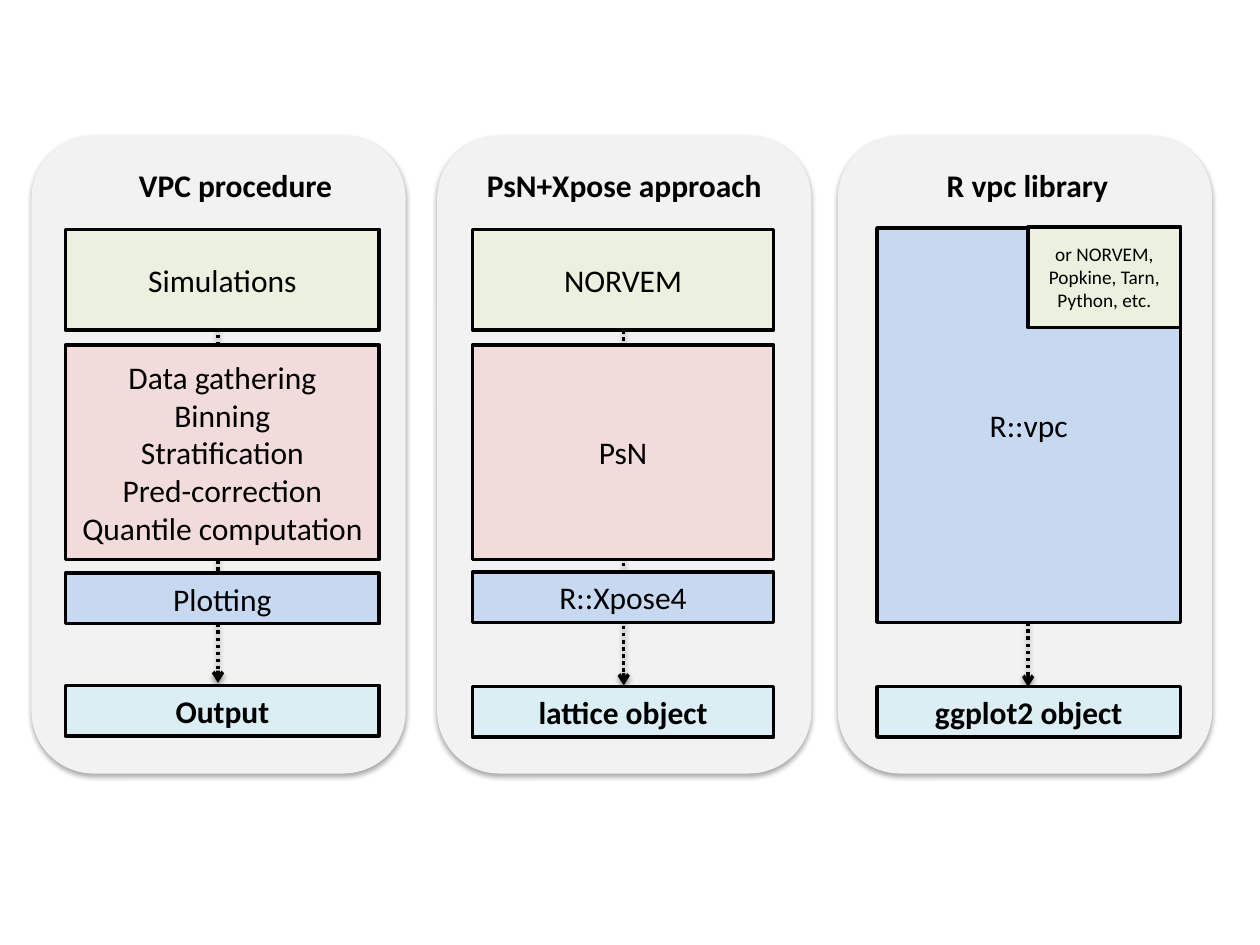
"""Build a slide comparing three ways to produce a visual predictive check."""
from lxml import etree
from pptx import Presentation
from pptx.dml.color import RGBColor
from pptx.enum import dml, shapes, text
from pptx.oxml import ns
from pptx.util import Inches, Pt

THEME = {
    "font": "Calibri", "size": 18, "small": 11, "ink": "000000", "line": 2,
    "panel": "F2F2F2", "simulate": "EBF1DE", "process": "F2DCDB",
    "plot": "C6D9F1", "output": "DBEEF4",
}
PANEL_TOP, PANEL_W, PANEL_H = 1.08, 2.97, 5.06
TITLE_TOP, TITLE_H = 1.27, 0.42

COLUMNS = [
    {"title": "VPC procedure", "panel": 0.25, "title_at": (0.99, 1.76),
     "box_at": (0.52, 2.49), "arrow": (1.73, 2.6, 5.42),
     "boxes": [("simulate", ["Simulations"], 1.82, 0.8),
               ("process", ["Data gathering", "Binning", "Stratification",
                            "Pred-correction", "Quantile computation"], 2.74, 1.7),
               ("plot", ["Plotting"], 4.55, 0.4),
               ("output", ["Output"], 5.44, 0.4)]},
    {"title": "PsN+Xpose approach", "panel": 3.47, "title_at": (3.75, 2.41),
     "box_at": (3.75, 2.39), "arrow": (4.95, 2.62, 5.44),
     "boxes": [("simulate", ["NORVEM"], 1.82, 0.8),
               ("process", ["PsN"], 2.74, 1.7),
               ("plot", ["R::Xpose4"], 4.54, 0.4),
               ("output", ["lattice object"], 5.45, 0.4)]},
    {"title": "R vpc library", "panel": 6.65, "title_at": (7.4, 1.51),
     "box_at": (6.96, 2.41), "arrow": (8.16, 4.94, 5.45),
     "boxes": [("plot", ["R::vpc"], 1.81, 3.13),
               ("output", ["ggplot2 object"], 5.45, 0.4)]},
]
INSET = ("simulate", ["or NORVEM, Popkine, Tarn, Python, etc."], (8.16, 1.8, 1.21, 0.8))


def color(name):
    return RGBColor.from_string(THEME[name])


def add_shadow(shape, opacity, distance):
    props = shape._element.spPr
    for old in props.findall(ns.qn("a:effectLst")):
        props.remove(old)
    effects = etree.SubElement(props, ns.qn("a:effectLst"))
    shadow = etree.SubElement(effects, ns.qn("a:outerShdw"), blurRad=str(Pt(3.1)),
                              dist=str(Pt(distance)), dir="5400000", rotWithShape="0")
    black = etree.SubElement(shadow, ns.qn("a:srgbClr"), val=THEME["ink"])
    etree.SubElement(black, ns.qn("a:alpha"), val=str(opacity * 1000))


def write(shape, lines, size="size", bold=False, wrap=True):
    tf = shape.text_frame
    tf.word_wrap = wrap
    tf.text = "\n".join(lines)
    for p in tf.paragraphs:
        p.alignment = text.PP_ALIGN.CENTER
        for r in p.runs:
            r.font.name, r.font.size, r.font.bold = THEME["font"], Pt(THEME[size]), bold
            r.font.color.rgb = color("ink")


def add_panel(s, left):
    sp = s.shapes.add_shape(shapes.MSO_SHAPE.ROUNDED_RECTANGLE, Inches(left),
                            Inches(PANEL_TOP), Inches(PANEL_W), Inches(PANEL_H))
    sp.fill.solid()
    sp.fill.fore_color.rgb = color("panel")
    sp.line.fill.background()
    add_shadow(sp, 35, 1.8)


def add_title(s, title, left, width):
    sp = s.shapes.add_textbox(Inches(left), Inches(TITLE_TOP), Inches(width), Inches(TITLE_H))
    write(sp, [title], bold=True, wrap=False)


def add_arrow(s, x, top, bottom):
    sp = s.shapes.add_connector(shapes.MSO_CONNECTOR.STRAIGHT, Inches(x), Inches(top),
                                Inches(x), Inches(bottom))
    sp.line.color.rgb = color("ink")
    sp.line.width = Pt(THEME["line"])
    sp.line.dash_style = dml.MSO_LINE.ROUND_DOT
    etree.SubElement(sp.line._get_or_add_ln(), ns.qn("a:tailEnd"), type="arrow")
    add_shadow(sp, 38, 1.6)


def add_box(s, role, lines, at, size="size"):
    sp = s.shapes.add_shape(shapes.MSO_SHAPE.RECTANGLE, *map(Inches, at))
    sp.shadow.inherit = False
    sp.fill.solid()
    sp.fill.fore_color.rgb = color(role)
    sp.line.color.rgb = color("ink")
    sp.line.width = Pt(THEME["line"])
    sp.text_frame.vertical_anchor = text.MSO_ANCHOR.MIDDLE
    write(sp, lines, size, bold=role == "output", wrap=len(lines) == 1)


prs = Presentation()
prs.slide_width, prs.slide_height = Inches(10), Inches(7.5)
s = prs.slides.add_slide(prs.slide_layouts[6])
for column in COLUMNS:
    add_panel(s, column["panel"])
    add_title(s, column["title"], *column["title_at"])
    add_arrow(s, *column["arrow"])
    left, width = column["box_at"]
    for role, lines, top, height in column["boxes"]:
        add_box(s, role, lines, (left, top, width, height))
add_box(s, *INSET, size="small")
prs.save("out.pptx")
